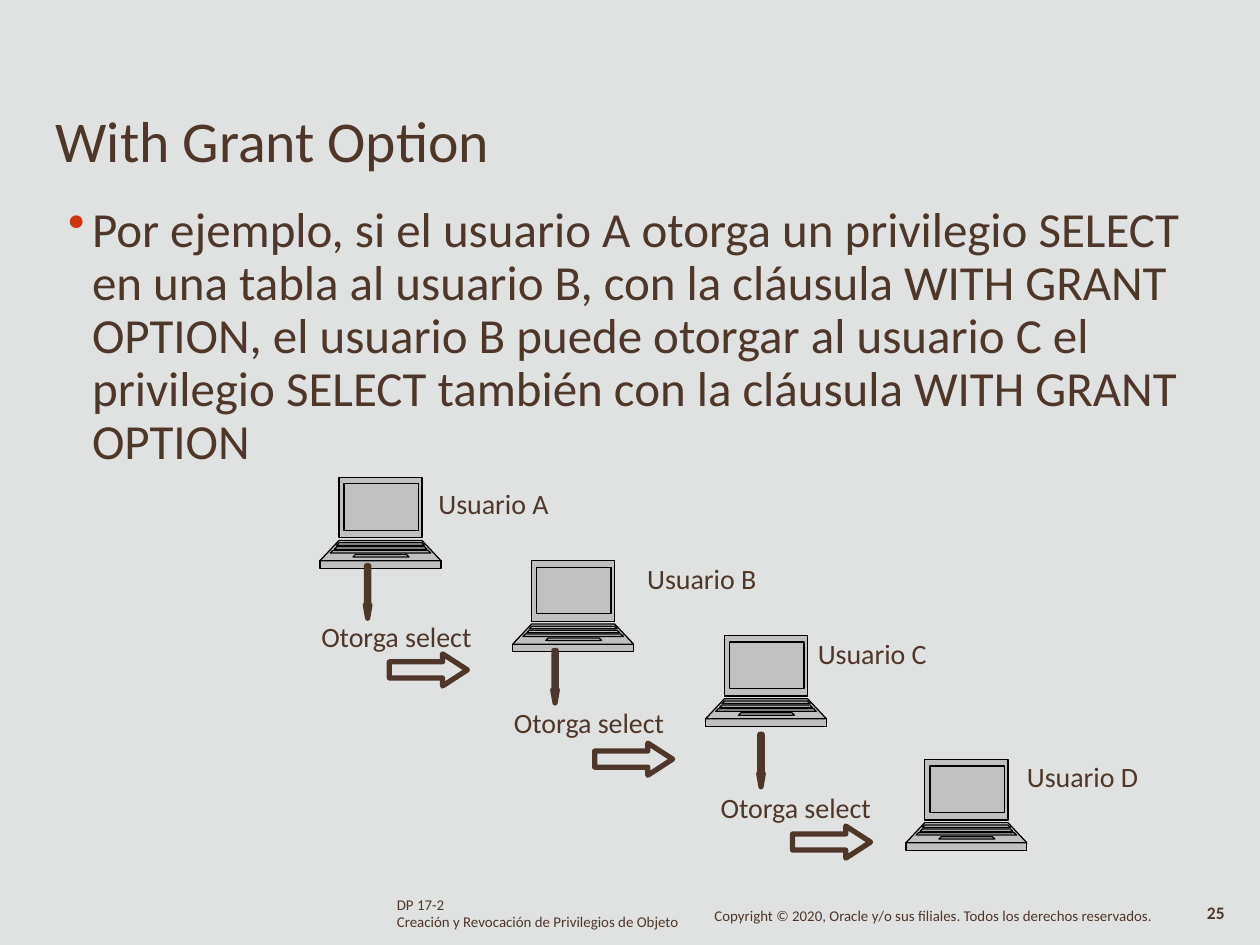
"""Build the With Grant Option slide: a privilege passed from user to user."""
from dataclasses import dataclass

from lxml import etree
from pptx import Presentation, util as u
from pptx.dml.color import RGBColor
from pptx.enum import shapes
from pptx.oxml import ns

Pt = u.Pt


@dataclass(frozen=True)
class Theme:
    font: str = "Calibri"
    back: str = "E0E2E1"
    ink: str = "4E3629"
    bullet: str = "D1350F"
    case: str = "C0C0C0"
    edge: str = "000000"
    title: float = 33
    body: float = 28
    label: float = 16
    footer: float = 8.5
    number: float = 10
    thin: float = 0.72
    thick: float = 3


def rgb(value):
    return RGBColor.from_string(value)


def write(p, text, *, theme, size, bold=False, indent=0, hanging=0,
          before=0, spacing=None, bullet=None):
    pPr = p._p.get_or_add_pPr()
    pPr.set("marL", str(Pt(indent)))
    pPr.set("indent", str(Pt(-hanging)))
    if bullet:
        clr = etree.SubElement(pPr, ns.qn("a:buClr"))
        etree.SubElement(clr, ns.qn("a:srgbClr"), val=theme.bullet)
        etree.SubElement(pPr, ns.qn("a:buChar"), char=bullet)
    if before:
        p.space_before = Pt(before)
    if spacing:
        p.line_spacing = Pt(spacing)
    r = p.add_run()
    r.text = text
    f = r.font
    f.name, f.size, f.bold = theme.font, Pt(size), bold
    f.color.rgb = rgb(theme.ink)


def rect(left, top, right, bottom):
    return [(left, top), (right, top), (right, bottom), (left, bottom)]


def trapezoid(left, right, top, bottom, flare=1.4):
    return [(left, top), (left - flare, bottom),
            (right + flare, bottom), (right, top)]


SCREEN = rect(10.8, 0, 58.3, 34.6)
DISPLAY = rect(13.7, 3.8, 56.2, 30.4)
DECK = trapezoid(10.8, 58.3, 36.2, 47.7, 10.8)
FRONT = rect(0, 47.7, 69.1, 52)
CASE = [(0, 47.7), (10.8, 36.2), (58.3, 36.2), (69.1, 47.7), (69.1, 52), (0, 52)]
KEY_ROWS = [(10.8, 58.3, 37.5), (20.2, 49.4, 44.2),
            (9.4, 59.7, 39.8), (7.2, 61.9, 41.9)]


class SlideBuilder:
    def __init__(self, s, theme):
        self.s, self.theme = s, theme
        s.background.fill.solid()
        s.background.fill.fore_color.rgb = rgb(theme.back)

    def paint(self, sp, fill=None, line=None, width=0):
        sp.shadow.inherit = False
        if fill:
            sp.fill.solid()
            sp.fill.fore_color.rgb = rgb(fill)
        else:
            sp.fill.background()
        if line:
            sp.line.color.rgb = rgb(line)
            sp.line.width = Pt(width)
        else:
            sp.line.fill.background()

    def text(self, x, y, w, h, *paragraphs, top=0.7, **style):
        tf = self.s.shapes.add_textbox(Pt(x), Pt(y), Pt(w), Pt(h)).text_frame
        tf.word_wrap = True
        tf.margin_left = tf.margin_right = tf.margin_bottom = 0
        tf.margin_top = Pt(top)
        for i, (text, extra) in enumerate(paragraphs):
            p = tf.add_paragraph() if i else tf.paragraphs[0]
            write(p, text, theme=self.theme, **{**style, **extra})

    def outline(self, parent, x, y, *contours, **look):
        moved = [[(Pt(x + a), Pt(y + b)) for a, b in c] for c in contours]
        fb = parent.build_freeform(*moved[0][0])
        fb.add_line_segments(moved[0][1:])
        for contour in moved[1:]:
            fb.move_to(*contour[0])
            fb.add_line_segments(contour[1:] + contour[:1])
        if len(moved) == 1:
            fb.add_line_segments(moved[0][:1])
        else:
            pass
        self.paint(fb.convert_to_shape(), **look)

    def laptop(self, x, y):
        t = self.theme
        group = self.s.shapes.add_group_shape().shapes
        for part in (SCREEN, CASE):
            self.outline(group, x, y, part, fill=t.case)
        keys = [trapezoid(left, right, top, top + 1.4)
                for left, right, top in KEY_ROWS]
        for part in (SCREEN, DECK, FRONT, DISPLAY, *keys):
            self.outline(group, x, y, part, line=t.edge, width=t.thin)

    def arrow(self, kind, x, y, w, h, head):
        sp = self.s.shapes.add_shape(kind, Pt(x), Pt(y), Pt(w), Pt(h))
        sp.adjustments[0] = 0.5
        sp.adjustments[1] = head / min(w, h)
        self.paint(sp, line=self.theme.ink, width=self.theme.thick)

    def down_arrow(self, x, y):
        self.arrow(shapes.MSO_SHAPE.DOWN_ARROW, x, y, 2.6, 30, 7.5)

    def right_arrow(self, x, y):
        self.arrow(shapes.MSO_SHAPE.RIGHT_ARROW, x, y, 44.6, 18.4, 14.2)


def main():
    prs = Presentation()
    prs.slide_width, prs.slide_height = Pt(720), Pt(540)
    t = Theme()
    b = SlideBuilder(prs.slides.add_slide(prs.slide_layouts[6]), t)

    b.text(31, 59, 478, 42, ("With Grant Option", {}), size=t.title, indent=0.7)
    b.text(38.2, 111.6, 637.2, 156.2,
           ("Por ejemplo, si el usuario A otorga un privilegio SELECT en una "
            "tabla al usuario B, con la cláusula WITH GRANT OPTION, el usuario "
            "B puede otorgar al usuario C el privilegio SELECT también con la "
            "cláusula WITH GRANT OPTION", {}),
           top=5, size=t.body, indent=14.4, hanging=13.7, spacing=30.3, bullet="•")

    for x, y in ((182.9, 272.7), (293, 320.4), (403.2, 363.1), (517.7, 433.9)):
        b.laptop(x, y)
    for x, y in ((208.8, 323.3), (315.9, 371.7), (433.6, 419.6)):
        b.down_arrow(x, y)
    for x, y in ((222.5, 373.6), (339.8, 424.6), (452.9, 472)):
        b.right_arrow(x, y)

    grant = ("Otorga select", {})
    label = dict(size=t.label, indent=0.7)
    for x, y in ((182.9, 353.5), (293, 402.5)):
        b.text(x, y, 88, 21, grant, **label)
    b.text(249.8, 277.2, 184, 65, ("Usuario A", {}),
           ("Usuario B", dict(indent=120, before=24)), **label)
    b.text(466.6, 362.9, 64, 21, ("Usuario C", {}), **label)
    b.text(411.1, 434.9, 240.5, 37.4, ("Usuario D", dict(indent=175.7)), grant,
           spacing=17.6, **label)

    footer = dict(top=0, indent=0.7)
    b.text(226.1, 513.4, 163.4, 19.4, ("DP 17-2", dict(spacing=8.6)),
           ("Creación y Revocación de Privilegios de Objeto", dict(spacing=9.7)),
           size=t.footer, **footer)
    b.text(407.5, 519.1, 253.4, 10.8,
           ("Copyright © 2020, Oracle y/o sus filiales. "
            "Todos los derechos reservados.", {}),
           size=t.footer, spacing=9.1, **footer)
    b.text(689, 517, 12.5, 12.2, ("25", {}),
           size=t.number, bold=True, spacing=10.4, **footer)
    prs.save("out.pptx")


if __name__ == "__main__":
    main()
